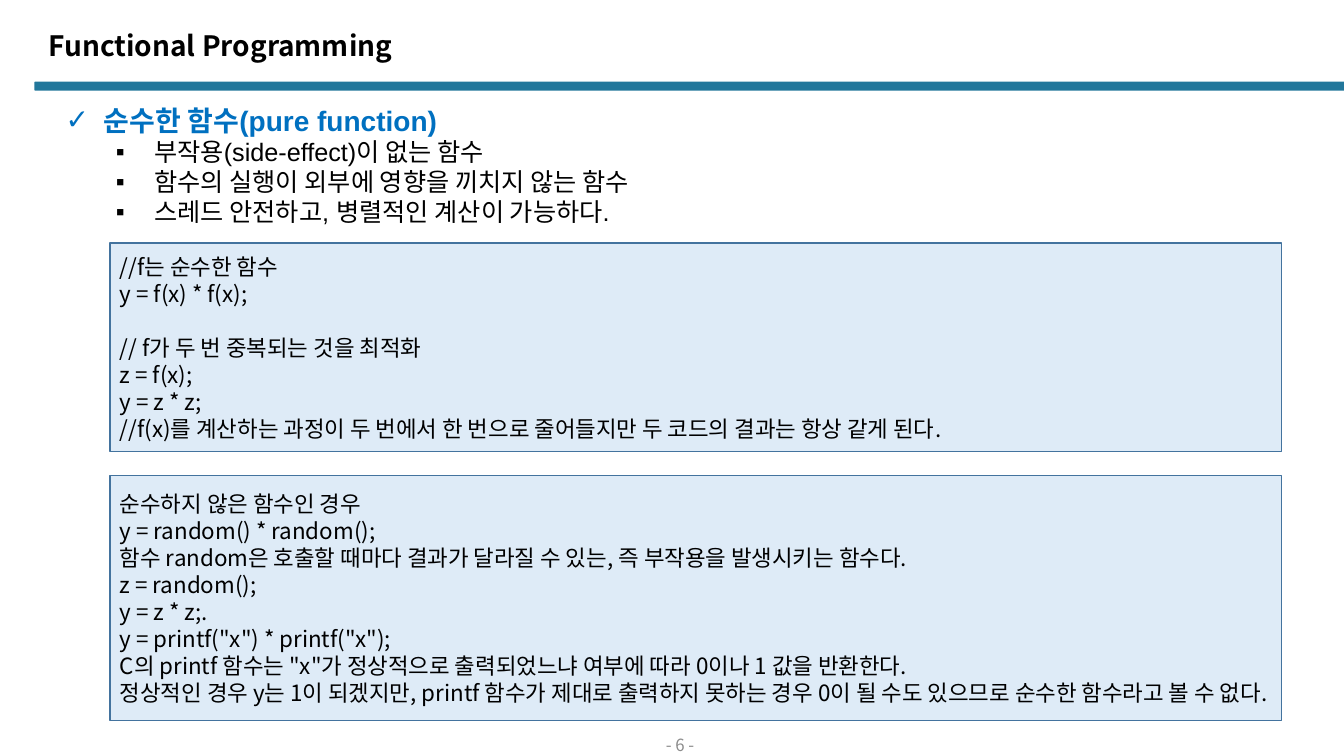
from lxml import etree
from pptx import Presentation, util as u
from pptx.dml.color import RGBColor
from pptx.enum import shapes, text
from pptx.oxml.ns import qn

THEME = {
    "sans": "Noto Sans CJK KR", "latin": "Arial",
    "black": "000000", "accent": "0070C0", "bar": "22779B",
    "panel": "DEEBF7", "panel_line": "43739E", "muted": "8C8C8C",
    "title": 20, "heading": 20, "point": 18, "code": 16, "page": 12,
}
LEFT, TOP = text.PP_ALIGN.LEFT, text.MSO_ANCHOR.TOP
MIDDLE = text.MSO_ANCHOR.MIDDLE


def place(part, left, top, width, height):
    box = dict(left=left, top=top, width=width, height=height)
    for side, inches in box.items():
        setattr(part, side, u.Inches(inches))


def write(paragraph, words, size, color, leading, font="sans", bold=False,
          align=LEFT, gap=0):
    layout = dict(alignment=align, line_spacing=u.Pt(leading),
                  space_before=u.Pt(gap), space_after=u.Pt(0))
    for name, value in layout.items():
        setattr(paragraph, name, value)
    run = paragraph.add_run()
    run.text = words
    look = dict(name=THEME[font], size=u.Pt(THEME[size]), bold=bold)
    for name, value in look.items():
        setattr(run.font, name, value)
    run.font.color.rgb = RGBColor.from_string(THEME[color])
    east_asian = etree.SubElement(run.font._element, qn("a:ea"))
    east_asian.set("typeface", THEME["sans"])


deck = Presentation()
deck.slide_width, deck.slide_height = u.Inches(13.33), u.Inches(7.5)
slide = deck.slides.add_slide(deck.slide_layouts[1])

# Rule under the title
rule = slide.shapes.add_shape(shapes.MSO_SHAPE.ROUNDED_RECTANGLE, 0, 0, 0, 0)
place(rule, 0.34, 0.81, 13.02, 0.09)
rule.adjustments[0] = 0.13
rule.shadow.inherit = False
rule.fill.solid()
rule.fill.fore_color.rgb = RGBColor.from_string(THEME["bar"])
rule.line.fill.background()

# Title
title = slide.shapes.title
place(title, 0.38, 0.25, 12, 0.47)
title.text_frame.vertical_anchor = TOP
title.text_frame.auto_size = text.MSO_AUTO_SIZE.NONE
write(title.text_frame.paragraphs[0], "Functional Programming",
      "title", "black", leading=23, bold=True)

# Definition of a pure function: a heading and its points
definition = slide.placeholders[1]
place(definition, 0.55, 0.96, 11.93, 1.68)
definition.text_frame.vertical_anchor = TOP
definition.text_frame.auto_size = text.MSO_AUTO_SIZE.NONE
HEADING = dict(size="heading", color="accent", leading=25, bold=True)
POINT = dict(size="point", color="black", leading=21.5)
outline = [
    (0, "순수한 함수(pure function)"),
    (1, "부작용(side-effect)이 없는 함수"),
    (1, "함수의 실행이 외부에 영향을 끼치지 않는 함수"),
    (1, "스레드 안전하고, 병렬적인 계산이 가능하다."),
]
for row, (level, words) in enumerate(outline):
    frame = definition.text_frame
    item = frame.add_paragraph() if row else frame.paragraphs[0]
    item.level = level
    write(item, words, font="latin", **(HEADING, POINT)[level])
    props = item._p.get_or_add_pPr()
    props.set("marL", str(u.Inches(0.38 + 0.5 * level)))
    props.set("indent", str(u.Inches(-0.38)))
    etree.SubElement(props, qn("a:buFont")).set("typeface", THEME["latin"])
    etree.SubElement(props, qn("a:buChar")).set("char", "✓▪"[level])

# Code panels: top, height and lines, each line with the gap above it
BLANK_LINE = 19.3
panels = [
    (2.41, 2.07, [
        ("//f는 순수한 함수", 0),
        ("y = f(x) * f(x);", 0),
        ("// f가 두 번 중복되는 것을 최적화", BLANK_LINE),
        ("z = f(x);", 0),
        ("y = z * z;", 0),
        ("//f(x)를 계산하는 과정이 두 번에서 한 번으로 줄어들지만 "
         "두 코드의 결과는 항상 같게 된다.", 0),
    ]),
    (4.72, 2.43, [
        ("순수하지 않은 함수인 경우", 0),
        ("y = random() * random();", 0),
        ("함수 random은 호출할 때마다 결과가 달라질 수 있는, "
         "즉 부작용을 발생시키는 함수다.", 0),
        ("z = random();", 0),
        ("y = z * z;.", 0),
        ('y = printf("x") * printf("x");', 0),
        ('C의 printf 함수는 "x"가 정상적으로 출력되었느냐 여부에 따라 '
         "0이나 1 값을 반환한다.", 0),
        ("정상적인 경우 y는 1이 되겠지만, printf 함수가 제대로 출력하지 "
         "못하는 경우 0이 될 수도 있으므로 순수한 함수라고 볼 수 없다.", 0),
    ]),
]
for top, height, lines in panels:
    panel = slide.shapes.add_shape(shapes.MSO_SHAPE.RECTANGLE, 0, 0, 0, 0)
    place(panel, 1.09, top, 11.62, height)
    panel.shadow.inherit = False
    panel.fill.solid()
    panel.fill.fore_color.rgb = RGBColor.from_string(THEME["panel"])
    panel.line.color.rgb = RGBColor.from_string(THEME["panel_line"])
    panel.line.width = u.Pt(1)
    frame = panel.text_frame
    frame.word_wrap = True
    frame.vertical_anchor = MIDDLE
    for row, (words, gap) in enumerate(lines):
        line = frame.add_paragraph() if row else frame.paragraphs[0]
        write(line, words, "code", "black", leading=BLANK_LINE, gap=gap)

# Page number
page = slide.shapes.add_textbox(0, 0, 0, 0)
place(page, 5.19, 7.27, 3.11, 0.23)
page_format = dict(word_wrap=True, vertical_anchor=MIDDLE,
                   margin_top=0, margin_bottom=0)
for name, value in page_format.items():
    setattr(page.text_frame, name, value)
write(page.text_frame.paragraphs[0], "- 6 -", "page", "muted", leading=15,
      align=text.PP_ALIGN.CENTER)

deck.save("out.pptx")
